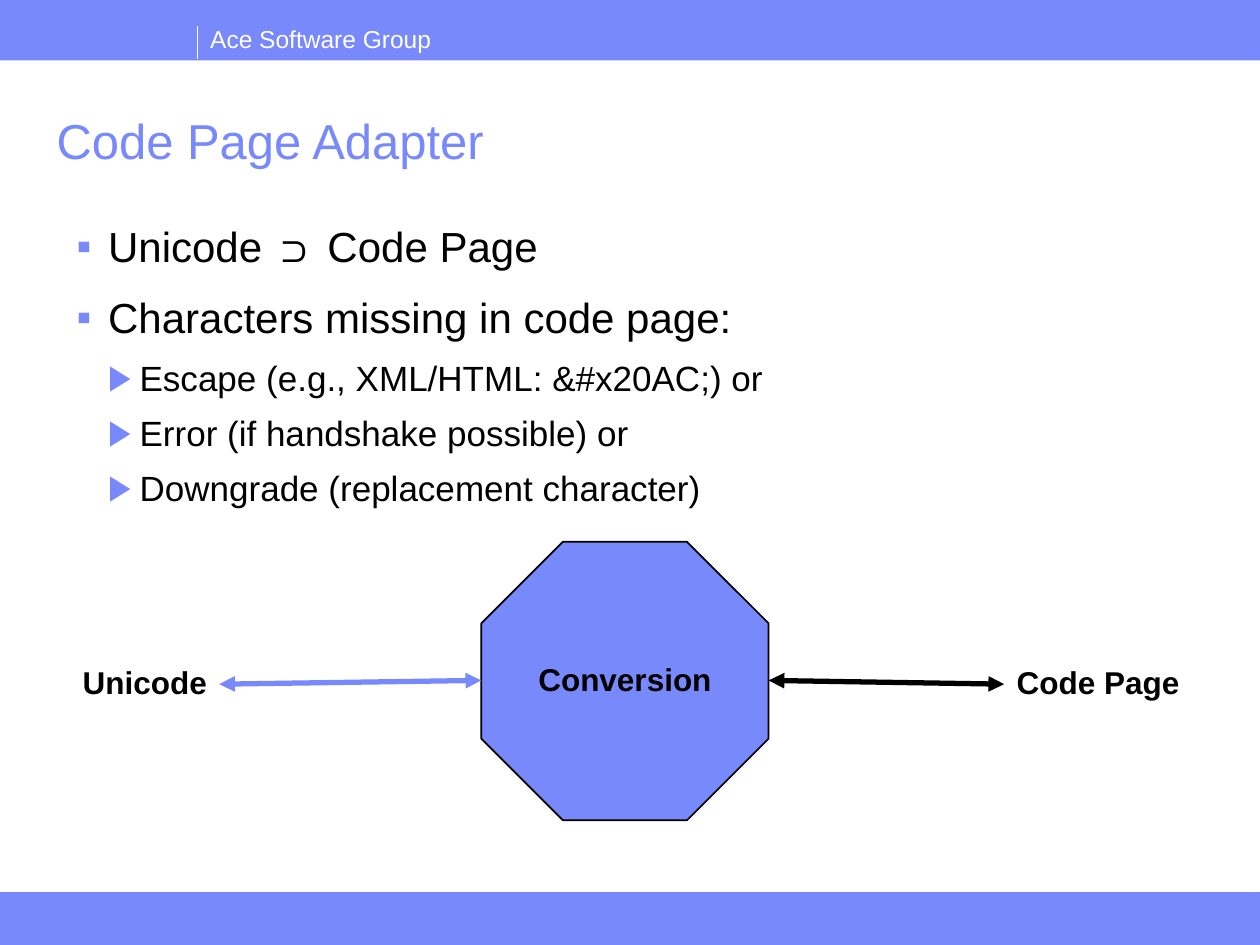
from dataclasses import dataclass

from lxml.etree import SubElement
from pptx import Presentation
from pptx.dml.color import RGBColor
from pptx.enum.shapes import MSO_CONNECTOR, MSO_SHAPE
from pptx.enum.text import MSO_ANCHOR, MSO_AUTO_SIZE, PP_ALIGN
from pptx.oxml.ns import qn
from pptx.util import Inches, Pt

BLUE, BLACK, WHITE = "7889FB", "000000", "FFFFFF"


@dataclass
class Level:
    """Look of one bullet level."""
    bullet: str
    indent: float
    size: float
    before: float
    after: float


@dataclass
class Line:
    start: tuple[float, float]
    end: tuple[float, float]
    color: str
    width: float
    arrows: bool = True


@dataclass
class Label:
    text: str
    box: tuple[float, float, float, float]
    size: float
    color: str = BLACK
    bold: bool = False
    align: PP_ALIGN = PP_ALIGN.LEFT
    spacing: float = 0.9
    wrap: bool = False


LEVELS = [Level("▪", 0.25, 24, 7.5, 4.5), Level("▶", 0.5, 20, 3.7, 3.7)]
BULLETS = [
    (0, "Unicode ⊃ Code Page"),
    (0, "Characters missing in code page:"),
    (1, "Escape (e.g., XML/HTML: &#x20AC;) or"),
    (1, "Error (if handshake possible) or"),
    (1, "Downgrade (replacement character)"),
]
LABELS = [
    Label("Ace Software Group", (1.57, 0.14, 1.96, 0.34), 14, WHITE, spacing=1.0),
    Label("Code Page Adapter", (0.35, 0.88, 9.21, 0.52), 28, BLUE, wrap=True),
    Label("Unicode", (0.55, 5.25, 1.2, 0.37), 18, bold=True, align=PP_ALIGN.CENTER),
    Label("Code Page", (7.96, 5.25, 1.51, 0.37), 18, bold=True, align=PP_ALIGN.CENTER),
]
LINES = [
    Line((1.57, 0.21), (1.57, 0.47), WHITE, 0.75, arrows=False),
    Line((1.74, 5.43), (3.82, 5.4), BLUE, 3),
    Line((7.97, 5.43), (6.1, 5.4), BLACK, 3),
]


def rgb(color: str) -> RGBColor:
    return RGBColor.from_string(color)


def style_runs(p, size: float, color: str, bold: bool = False) -> None:
    for r in p.runs:
        r.font.name = "Arial"
        r.font.size = Pt(size)
        r.font.bold = bold
        r.font.color.rgb = rgb(color)


def add_filled(s, kind: MSO_SHAPE, box: tuple, line: str | None = None, width: float = 0):
    sp = s.shapes.add_shape(kind, *map(Inches, box))
    sp.shadow.inherit = False
    sp.fill.solid()
    sp.fill.fore_color.rgb = rgb(BLUE)
    if line:
        sp.line.color.rgb = rgb(line)
        sp.line.width = Pt(width)
    else:
        sp.line.fill.background()
    return sp


def add_label(s, label: Label) -> None:
    tf = s.shapes.add_textbox(*map(Inches, label.box)).text_frame
    tf.word_wrap = label.wrap
    tf.auto_size = MSO_AUTO_SIZE.SHAPE_TO_FIT_TEXT
    tf.text = label.text
    p = tf.paragraphs[0]
    p.alignment = label.align
    p.line_spacing = label.spacing
    style_runs(p, label.size, label.color, label.bold)


def add_line(s, line: Line) -> None:
    cx = s.shapes.add_connector(
        MSO_CONNECTOR.STRAIGHT, *map(Inches, line.start + line.end))
    cx.line.color.rgb = rgb(line.color)
    cx.line.width = Pt(line.width)
    if line.arrows:
        ln = cx.line._get_or_add_ln()
        for end in ("a:headEnd", "a:tailEnd"):
            SubElement(ln, qn(end), type="triangle")
    SubElement(cx._element.spPr, qn("a:effectLst"))


def add_bullet(p, level: Level) -> None:
    pPr = p._p.get_or_add_pPr()
    pPr.set("marL", str(Inches(level.indent)))
    pPr.set("indent", str(-Inches(0.25)))
    SubElement(SubElement(pPr, qn("a:buClr")), qn("a:srgbClr"), val=BLUE)
    SubElement(pPr, qn("a:buFont"), typeface="Arial")
    SubElement(pPr, qn("a:buChar"), char=level.bullet)


def add_bullets(s) -> None:
    tf = s.shapes.add_textbox(*map(Inches, (0.51, 1.7, 8.93, 5.35))).text_frame
    tf.word_wrap = True
    for i, (depth, text) in enumerate(BULLETS):
        level = LEVELS[depth]
        p = tf.add_paragraph() if i else tf.paragraphs[0]
        p.text = text
        p.level = depth
        add_bullet(p, level)
        p.space_before = Pt(level.before if i else 0)
        p.space_after = Pt(level.after)
        style_runs(p, level.size, BLACK)


def main() -> None:
    prs = Presentation()
    prs.slide_width, prs.slide_height = Inches(10), Inches(7.5)
    s = prs.slides.add_slide(prs.slide_layouts[6])

    # Header and footer bands
    add_filled(s, MSO_SHAPE.RECTANGLE, (0, 0, 10, 0.48))
    add_filled(s, MSO_SHAPE.RECTANGLE, (0, 7.08, 10, 0.42), BLUE, 0.25)

    # Bullet list
    add_bullets(s)

    # Conversion octagon
    sp = add_filled(s, MSO_SHAPE.OCTAGON, (3.82, 4.3, 2.28, 2.21), BLACK, 1)
    sp.adjustments[0] = 0.293
    tf = sp.text_frame
    tf.vertical_anchor = MSO_ANCHOR.MIDDLE
    tf.text = "Conversion"
    p = tf.paragraphs[0]
    p.alignment = PP_ALIGN.CENTER
    p.line_spacing = 0.9
    style_runs(p, 18, BLACK, bold=True)

    # Header rule, arrows, title and labels
    for line in LINES:
        add_line(s, line)
    for label in LABELS:
        add_label(s, label)

    prs.save("out.pptx")


if __name__ == "__main__":
    main()
